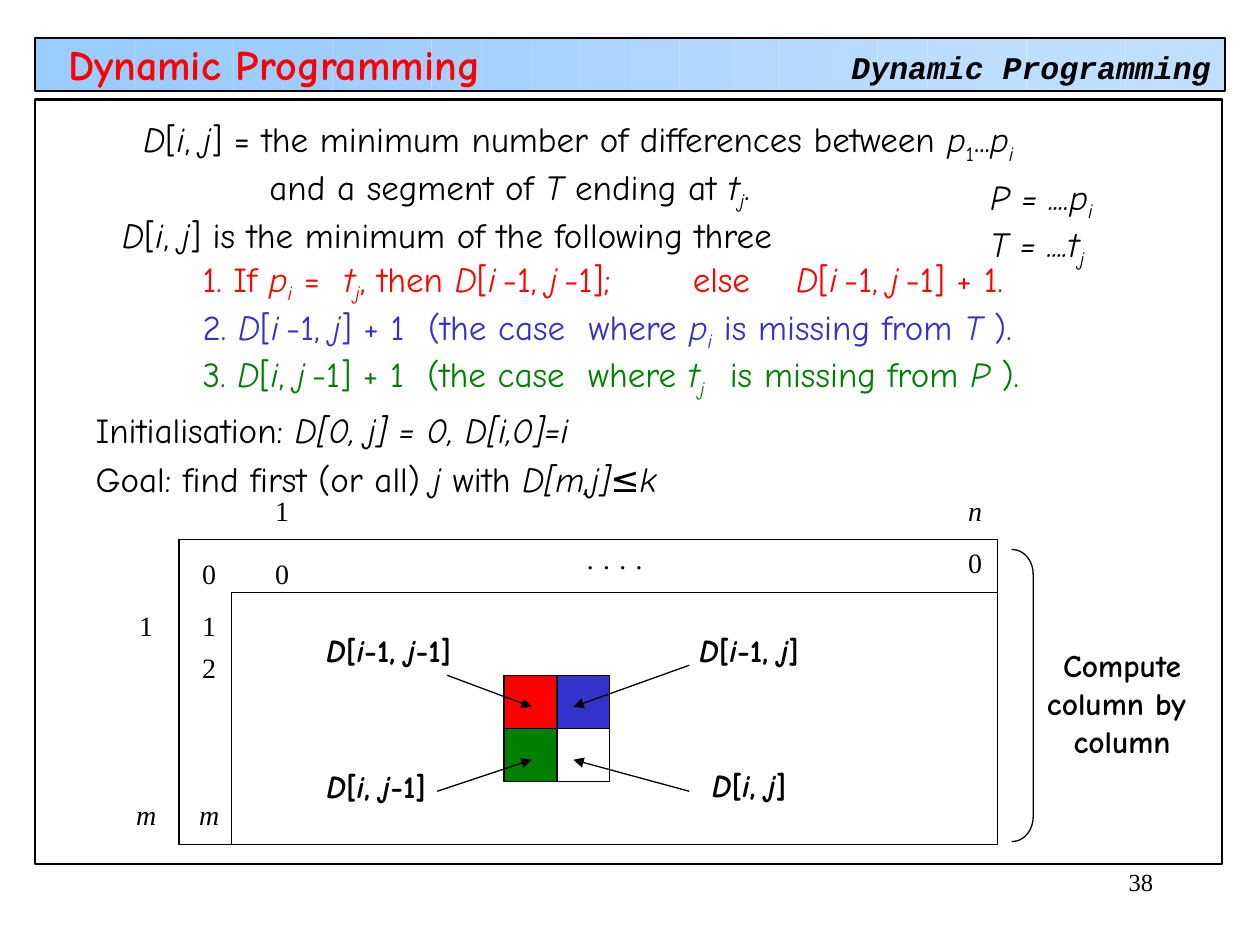
import itertools
import math
from dataclasses import dataclass

import lxml.etree
import pptx
import pptx.dml.color
import pptx.enum.shapes
import pptx.enum.text
import pptx.oxml.ns
import pptx.util

Inches, Pt = pptx.util.Inches, pptx.util.Pt
SHAPE = pptx.enum.shapes.MSO_SHAPE
ALIGN = pptx.enum.text.PP_ALIGN
ANCHOR = pptx.enum.text.MSO_ANCHOR
qn = pptx.oxml.ns.qn


@dataclass(frozen=True)
class Theme:
    hand: str = "Comic Neue"
    mono: str = "Courier New"
    serif: str = "Times New Roman"
    black: str = "000000"
    red: str = "FF0000"
    blue: str = "3333CC"
    green: str = "008000"
    bar: tuple = ("99CCFF", "C0DFFF")
    title: int = 24
    body: int = 20
    label: int = 18
    index: int = 16
    number: int = 14
    thin_space: int = 12
    frame: float = 1.25
    hairline: float = 0.75


THEME = Theme()

# In the texts, * switches italic, ~ subscript and ^ thin spaces on and off.
MARKS = {"*": "italic", "~": "subscript", "^": "thin"}

TITLE = "Dynamic Programming"
DEFINITION = [
    "*D*[*i*, *j*] = the minimum number of differences between *p*~1~...*p~i~*",
    "\tand a segment of *T* ending at *t~j~*.",
]
DEFINITION_TABS = (1,)
MINIMUM = ["*D*[*i*, *j*] is the minimum of the following three"]
CASES = [
    "1. If *p~i~* =  *t~j~*, then *D*[*i^ ^*-1, *j^ ^*-1];\telse\t*D*[*i^ ^*-1, *j^ ^*-1] + 1.",
    "2. *D*[*i^ ^*-1, *j*] + 1  (the case  where *p~i~* is missing from *T* ).",
    "3. *D*[*i*, *j^ ^*-1] + 1  (the case  where *t~j  ~* is missing from *P* ).",
]
CASE_TABS = (3.89, 4.71)
SETUP = [
    "Initialisation: *D[0, j] = 0, D[i,0]=i*",
    "Goal: find first (or all) *j* with *D[m,j]≤k*",
]
STRINGS = ["*P = ....p~i~*", "*T = ....t~j~*"]
ORDER = ["Compute", "column by ", "column"]

# Header bar, shaded in equal stripes
BAR = (0.28, 0.3, 9.44, 0.42)
STRIPES = 24

# Matrix: outer box, header row and column one cell deep, index centres
CELL = 0.42
LEFT, TOP, RIGHT, BOTTOM = 1.42, 4.28, 7.92, 6.7
COLUMNS = {"outside": 1.16, "header": 1.66, "first": 2.24, "last": 7.74}
ROWS = {"outside": 4.05, "zero": 4.55, "last zero": 4.46, "one": 4.96, "two": 5.3, "m": 6.46}
INDEXES = [
    ("1", "first", "outside"), ("*n*", "last", "outside"),
    ("0", "header", "zero"), ("0", "first", "zero"), ("0", "last", "last zero"),
    ("1", "outside", "one"), ("1", "header", "one"), ("2", "header", "two"),
    ("*m*", "outside", "m"), ("*m*", "header", "m"),
]

# Neighbour cells: column, row, fill, label, label box, arrow start and end
BLOCK = (4, 5.36)
NEIGHBOURS = [
    (0, 0, THEME.red, "*D*[*i*-1, *j*-1]", (2.49, 4.96, 1.19, 0.4), (3.55, 5.36), (4.22, 5.61)),
    (1, 0, THEME.blue, "*D*[*i*-1, *j*]", (5.45, 4.96, 0.99, 0.4), (5.47, 5.28), (4.55, 5.61)),
    (0, 1, THEME.green, "*D*[*i*, *j*-1]", (2.49, 6.04, 0.99, 0.4), (3.47, 6.28), (4.22, 6.03)),
    (1, 1, None, "*D*[*i*, *j*]", (5.47, 6.03, 0.95, 0.4), (5.47, 6.28), (4.55, 6.03)),
]


def rgb(code):
    return pptx.dml.color.RGBColor.from_string(code)


def blend(start, end, share):
    pairs = zip(rgb(start), rgb(end))
    return "".join(f"{round(a + (b - a) * share):02X}" for a, b in pairs)


def add_spans(para, marked):
    """Turn marked-up text into runs."""
    active = set()
    for mark, letters in itertools.groupby(marked, key=MARKS.get):
        if mark:
            active ^= {mark}
            continue
        span = para.add_run()
        span.text = "".join(letters)
        if "italic" in active:
            span.font.italic = True
        if "thin" in active:
            span.font.size = Pt(THEME.thin_space)
        if "subscript" in active:
            span.font._element.set("baseline", "-25000")


def style(para, size, font, color, bold=False, italic=None, align=ALIGN.LEFT):
    para.alignment = align
    para.font.size = Pt(size)
    para.font.name = font
    para.font.color.rgb = rgb(color)
    para.font.bold = bold
    para.font.italic = italic


def add_text(page, at, lines, size=THEME.body, font=THEME.hand, colors=(THEME.black,),
             anchor=ANCHOR.MIDDLE, wrap=True, **look):
    box = page.shapes.add_textbox(*map(Inches, at))
    frame = box.text_frame
    frame.word_wrap = wrap
    frame.vertical_anchor = anchor
    for number, (line, color) in enumerate(zip(lines, itertools.cycle(colors))):
        para = frame.add_paragraph() if number else frame.paragraphs[0]
        style(para, size, font, color, **look)
        add_spans(para, line)
    return frame.paragraphs


def add_centred(page, at, lines, **look):
    return add_text(page, at, lines, wrap=False, align=ALIGN.CENTER, **look)


def add_tabs(para, stops):
    properties = para._p.get_or_add_pPr()
    tabs = lxml.etree.Element(qn("a:tabLst"))
    for stop in stops:
        lxml.etree.SubElement(tabs, qn("a:tab"), pos=str(Inches(stop)), algn="l")
    properties.insert(0, tabs)


def add_box(page, at, fill=None, weight=THEME.hairline, kind=SHAPE.RECTANGLE):
    box = page.shapes.add_shape(kind, *map(Inches, at))
    box.shadow.inherit = False
    if weight:
        box.line.color.rgb = rgb(THEME.black)
        box.line.width = Pt(weight)
    else:
        box.line.fill.background()
    if fill:
        box.fill.solid()
        box.fill.fore_color.rgb = rgb(fill)
    else:
        box.fill.background()
    return box


def add_line(page, start, end, arrow=False):
    line = page.shapes.add_connector(
        pptx.enum.shapes.MSO_CONNECTOR.STRAIGHT, *map(Inches, start + end))
    line.line.color.rgb = rgb(THEME.black)
    line.line.width = Pt(THEME.hairline)
    properties = line._element.spPr
    if arrow:
        lxml.etree.SubElement(properties.find(qn("a:ln")), qn("a:tailEnd"), type="triangle")
    lxml.etree.SubElement(properties, qn("a:effectLst"))


def add_header(page):
    left, top, width, height = BAR
    stripe = width / STRIPES
    for number in range(STRIPES):
        share = (1 - math.cos(math.pi * number / (STRIPES - 1))) / 2
        add_box(page, (left + number * stripe, top, stripe, height),
                blend(*THEME.bar, share), weight=0)
    add_box(page, BAR, weight=THEME.frame)
    add_box(page, (0.28, 0.79, 9.42, 6.07), weight=THEME.frame)
    add_text(page, (6.66, 0.33, 3.2, 0.4), [TITLE], THEME.label, THEME.mono,
             anchor=ANCHOR.TOP, bold=True, italic=True)

    title = page.shapes.title
    title.left, title.top, title.width, title.height = map(Inches, (0.44, 0.38, 5.17, 0.25))
    frame = title.text_frame
    frame.text = TITLE
    frame.auto_size = pptx.enum.text.MSO_AUTO_SIZE.NONE
    frame.vertical_anchor = ANCHOR.MIDDLE
    frame.margin_top = frame.margin_bottom = 0
    style(frame.paragraphs[0], THEME.title, THEME.hand, THEME.red, bold=True)
    title.element.getparent().append(title.element)  # bring in front of the bar


def add_recurrence(page):
    definition = add_text(page, (1.04, 0.88, 7.4, 0.86), DEFINITION)
    add_tabs(definition[1], DEFINITION_TABS)
    add_centred(page, (0.5, 1.64, 6.1, 0.44), MINIMUM)
    cases = add_text(page, (1.51, 1.99, 7.2, 1.24), CASES,
                     colors=(THEME.red, THEME.blue, THEME.green))
    add_tabs(cases[0], CASE_TABS)
    setup = add_text(page, (0.66, 3.19, 5.22, 0.84), SETUP, anchor=ANCHOR.TOP)
    setup[1].space_before = Pt(4)
    add_text(page, (7.76, 1.34, 1.24, 1.24), STRINGS, anchor=ANCHOR.TOP)


def add_matrix(page):
    add_box(page, (LEFT, TOP, RIGHT - LEFT, BOTTOM - TOP))
    corner = (LEFT + CELL, TOP + CELL)
    add_line(page, corner, (RIGHT, corner[1]))
    add_line(page, corner, (corner[0], BOTTOM))
    width, height = 0.36, 0.37
    for text, column, row in INDEXES:
        at = (COLUMNS[column] - width / 2, ROWS[row] - height / 2, width, height)
        add_centred(page, at, [text], size=THEME.index, font=THEME.serif)
    add_text(page, (4.55, 4.31, 0.8, height), ["· · · ·"], THEME.index, THEME.serif,
             anchor=ANCHOR.TOP)
    for column, row, fill, *_ in NEIGHBOURS:
        add_box(page, (BLOCK[0] + column * CELL, BLOCK[1] + row * CELL, CELL, CELL), fill)
    for _, _, _, label, at, start, end in NEIGHBOURS:
        add_centred(page, at, [label], size=THEME.label, bold=True)
        add_line(page, start, end, arrow=True)
    bracket = add_box(page, (8.03, 4.36, 0.17, 2.32), kind=SHAPE.RIGHT_BRACKET)
    bracket.adjustments[0] = 1.15
    add_centred(page, (8.21, 5.08, 1.39, 1), ORDER, size=THEME.label, bold=True)


def main():
    deck = pptx.Presentation()
    deck.slide_width, deck.slide_height = Inches(10), Inches(7.5)
    page = deck.slides.add_slide(deck.slide_layouts.get_by_name("Title Only"))
    add_header(page)
    add_recurrence(page)
    add_matrix(page)
    add_text(page, (7.92, 6.83, 1.33, 0.5), ["38"], THEME.number, THEME.serif,
             anchor=ANCHOR.TOP, align=ALIGN.RIGHT)
    deck.save("out.pptx")


if __name__ == "__main__":
    main()
